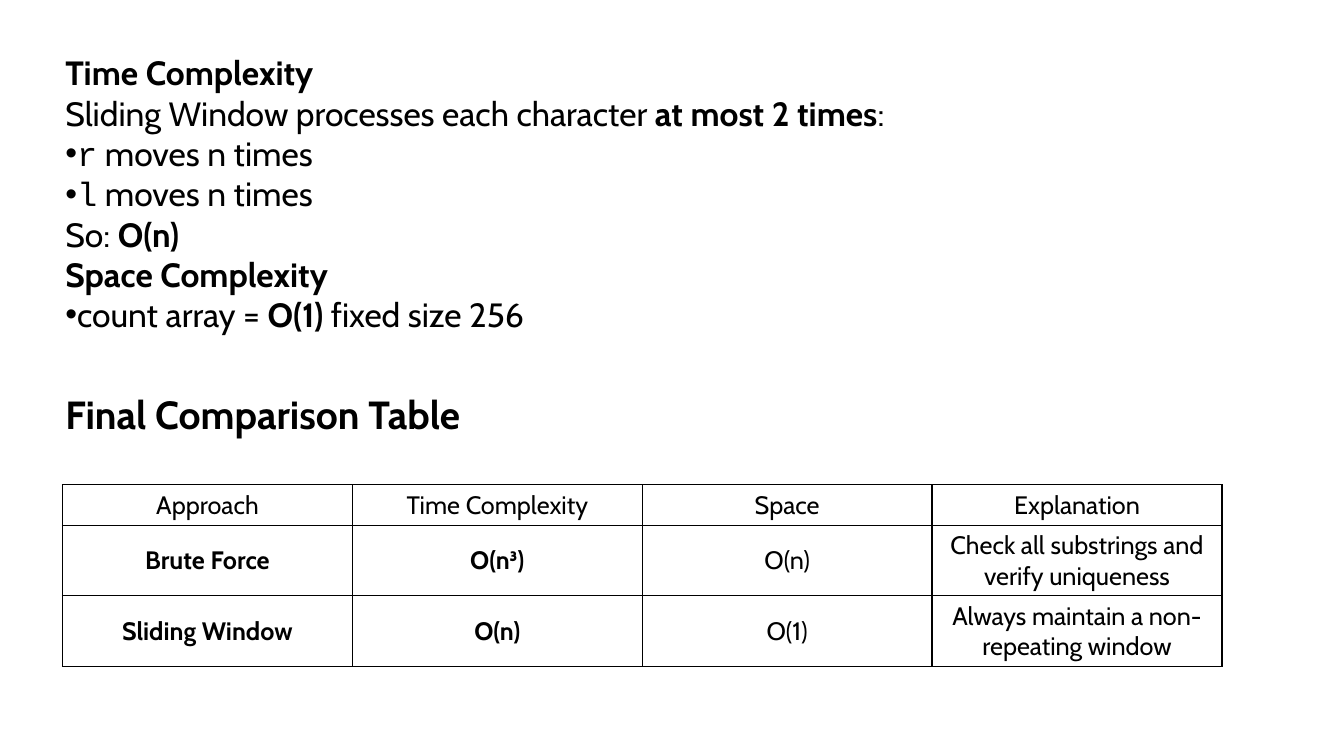
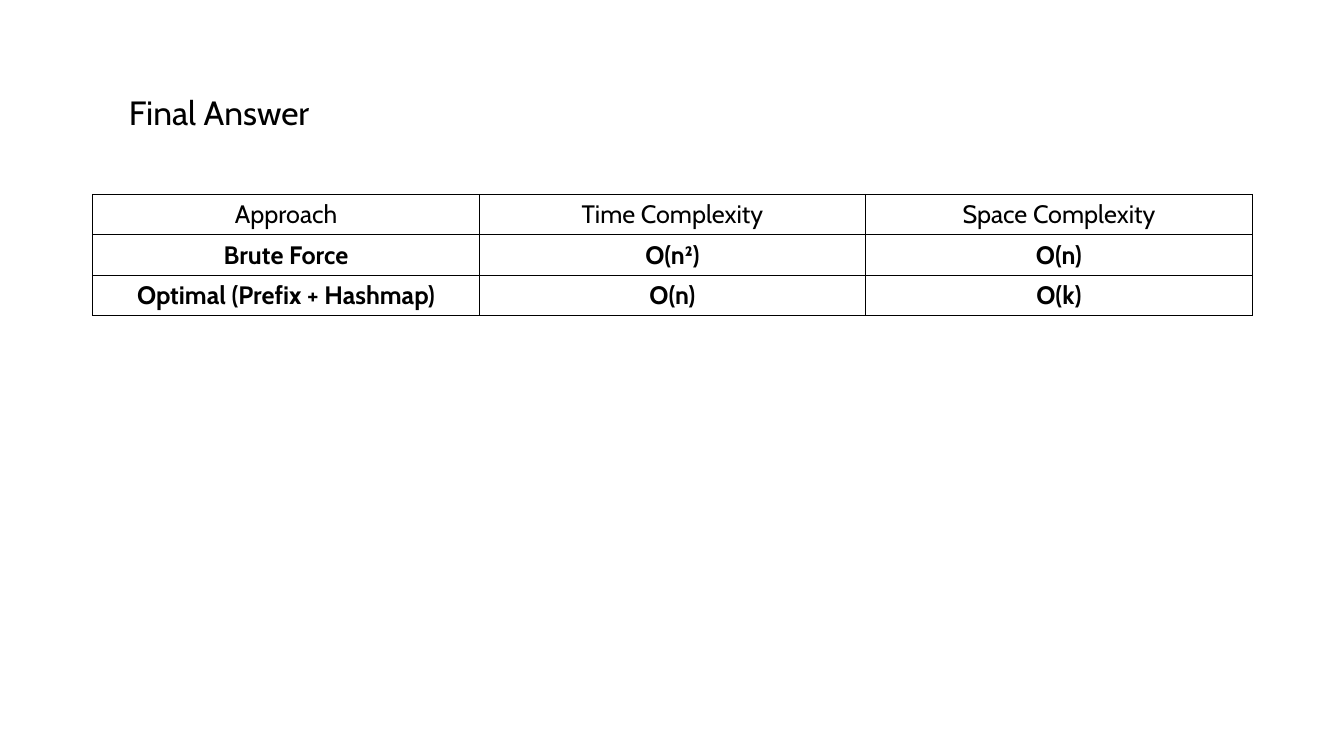
from dataclasses import dataclass

from pptx import Presentation
from pptx.dml.color import RGBColor
from pptx.enum.text import MSO_ANCHOR as Anchor, MSO_AUTO_SIZE as Fit, PP_ALIGN as Align
from pptx.oxml import parse_xml
from pptx.oxml.ns import nsdecls
from pptx.util import Inches, Pt


@dataclass(frozen=True)
class Theme:
    ink: str = "000000"
    face: str = "Cabin"
    code: str = "Courier New"
    head: int = 28
    body: int = 24
    cell: int = 18
    rule: float = 1


THEME = Theme()
BOLD = {"bold": True}
CODE = {"name": THEME.code}


def add_run(para, text, size, **style):
    font = para.add_run()
    font.text = text
    font = font.font
    values = {"name": THEME.face, "size": Pt(size), "bold": False} | style
    for key, value in values.items():
        setattr(font, key, value)
    font.color.rgb = RGBColor.from_string(THEME.ink)


def add_dot(para):
    """Give the paragraph a round bullet with no indent."""
    props = para._p.get_or_add_pPr()
    props.set("marL", "0")
    props.set("indent", "0")
    for tag in ('buFont {} typeface="Arial"', 'buChar {} char="•"'):
        props.append(parse_xml(f"<a:{tag.format(nsdecls('a'))}/>"))


def add_text(slide, box, lines, size):
    """Write lines of (bulleted, runs); each run is (text, style)."""
    frame = slide.shapes.add_textbox(*map(Inches, box)).text_frame
    frame.word_wrap = True
    frame.auto_size = Fit.SHAPE_TO_FIT_TEXT
    for i, (dot, runs) in enumerate(lines):
        para = frame.paragraphs[0] if i == 0 else frame.add_paragraph()
        if dot:
            add_dot(para)
        for text, style in runs:
            add_run(para, text, size, **style)


def add_rules(cell):
    props = cell._tc.get_or_add_tcPr()
    for side in "LRTB":
        props.append(parse_xml(
            f'<a:ln{side} {nsdecls("a")} w="{Pt(THEME.rule)}"><a:solidFill>'
            f'<a:srgbClr val="{THEME.ink}"/></a:solidFill></a:ln{side}>'))


def add_grid(slide, box, rows, heights, strong):
    """Draw a table whose first `strong` columns are bold below the header."""
    shape = slide.shapes.add_table(len(rows), len(rows[0]), *map(Inches, box))
    table = shape.table
    table.first_row = table.horz_banding = False
    for r, (texts, height) in enumerate(zip(rows, heights)):
        table.rows[r].height = Inches(height)
        for c, text in enumerate(texts):
            cell = table.cell(r, c)
            add_rules(cell)
            cell.fill.background()
            cell.vertical_anchor = Anchor.MIDDLE
            para = cell.text_frame.paragraphs[0]
            para.alignment = Align.CENTER
            add_run(para, text, THEME.cell, bold=r > 0 and c < strong)


def cost_slide(slide):
    add_text(slide, (0.55, 0.47, 11.28, 2.93), [
        (False, [("Time Complexity", BOLD)]),
        (False, [("Sliding Window processes each character ", {}),
                 ("at most 2 times", BOLD), (":", {})]),
        (True, [("r", CODE), (" moves n times", {})]),
        (True, [("l", CODE), (" moves n times", {})]),
        (False, [("So: ", {}), ("O(n)", BOLD)]),
        (False, [("Space Complexity", BOLD)]),
        (True, [("count array = ", {}), ("O(1)", BOLD), (" fixed size 256", {})]),
    ], THEME.body)
    add_grid(slide, (0.62, 4.81, 11.5, 1.8), [
        ("Approach", "Time Complexity", "Space", "Explanation"),
        ("Brute Force", "O(n³)", "O(n)", "Check all substrings and verify uniqueness"),
        ("Sliding Window", "O(n)", "O(1)", "Always maintain a non-repeating window"),
    ], (0.4, 0.7, 0.7), strong=2)
    add_text(slide, (0.55, 3.82, 6.67, 0.57),
             [(False, [("Final Comparison Table", BOLD)])], THEME.head)


def answer_slide(slide):
    add_grid(slide, (0.92, 1.93, 11.5, 1.2), [
        ("Approach", "Time Complexity", "Space Complexity"),
        ("Brute Force", "O(n²)", "O(n)"),
        ("Optimal (Prefix + Hashmap)", "O(n)", "O(k)"),
    ], (0.4, 0.4, 0.4), strong=3)
    add_text(slide, (1.18, 0.86, 6.67, 0.5),
             [(False, [("Final Answer", {})])], THEME.body)


def main():
    deck = Presentation()
    deck.slide_width, deck.slide_height = Inches(13.33), Inches(7.5)
    for build in (cost_slide, answer_slide):
        build(deck.slides.add_slide(deck.slide_layouts[6]))
    deck.save("out.pptx")


if __name__ == "__main__":
    main()
